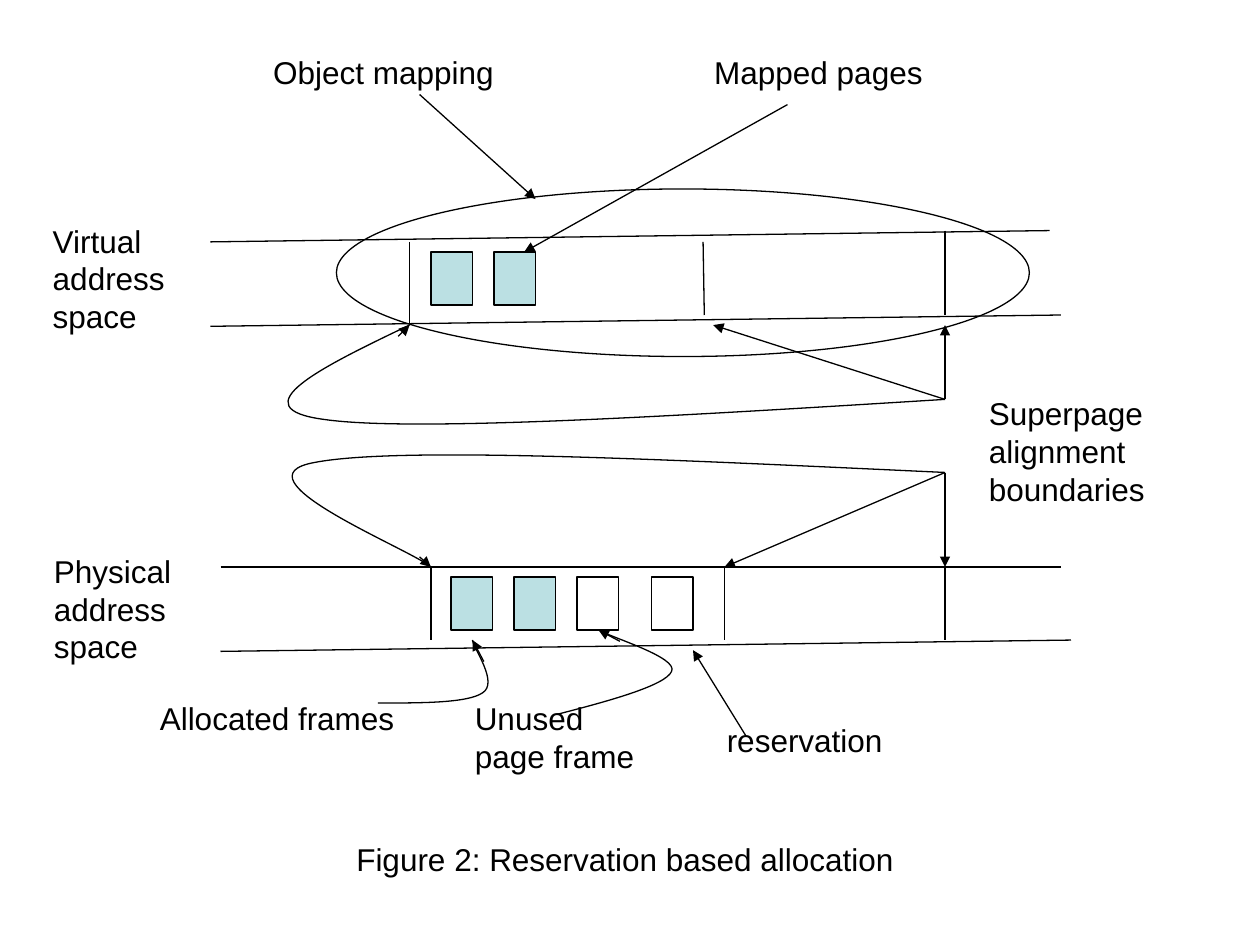
from dataclasses import dataclass

from lxml import etree
from pptx import Presentation
from pptx.dml.color import RGBColor
from pptx.enum.shapes import MSO_CONNECTOR, MSO_SHAPE
from pptx.enum.text import MSO_AUTO_SIZE
from pptx.oxml.ns import qn
from pptx.util import Inches, Pt

LINE = MSO_CONNECTOR.STRAIGHT
RECT = MSO_SHAPE.RECTANGLE
OVAL = MSO_SHAPE.OVAL
FIT = MSO_AUTO_SIZE.SHAPE_TO_FIT_TEXT


@dataclass(frozen=True)
class Theme:
    ink: RGBColor = RGBColor(0, 0, 0)
    used: RGBColor = RGBColor(0xBB, 0xE0, 0xE3)
    font: str = "Arial"
    size: int = Pt(18)
    rule: int = Pt(0.75)


THEME = Theme()
PAGE = (0.33, 0.42)


def style(shape, fill=None):
    """Thin black outline, no shadow, optional fill."""
    shape.shadow.inherit = False
    shape.line.color.rgb = THEME.ink
    shape.line.width = THEME.rule
    if fill is None:
        shape.fill.background()
    else:
        shape.fill.solid()
        shape.fill.fore_color.rgb = fill


def add_line(slide, start, end, arrow=False):
    line = slide.shapes.add_connector(LINE, *map(Inches, (*start, *end)))
    line.line.color.rgb = THEME.ink
    line.line.width = THEME.rule
    if arrow:
        props = line._element.spPr.find(qn("a:ln"))
        etree.SubElement(props, qn("a:tailEnd"), type="triangle")
    etree.SubElement(line._element.spPr, qn("a:effectLst"))


def add_form(slide, kind, box, fill=None):
    style(slide.shapes.add_shape(kind, *map(Inches, box)), fill)


def add_curve(slide, points):
    """Bezier through a start point and groups of three points."""
    pts = [(Inches(x), Inches(y)) for x, y in points]
    form = slide.shapes.build_freeform(*pts[0])
    form.add_line_segments(pts[1:], close=False)
    shape = form.convert_to_shape()
    style(shape)
    track = shape._element.find(".//" + qn("a:path"))
    steps = track.findall(qn("a:lnTo"))
    for i in range(0, len(steps), 3):
        bend = etree.SubElement(track, qn("a:cubicBezTo"))
        for step in steps[i:i + 3]:
            bend.append(step[0])
            track.remove(step)


def add_label(slide, text, box):
    frame = slide.shapes.add_textbox(*map(Inches, box)).text_frame
    frame.text = text
    for name, value in {"word_wrap": True, "auto_size": FIT}.items():
        setattr(frame, name, value)
    formats = {"name": THEME.font, "size": THEME.size}
    for para in frame.paragraphs:
        for run in para.runs:
            for name, value in formats.items():
                setattr(run.font, name, value)
            run.font.color.rgb = THEME.ink


def add_space(slide, x, y, rails, bounds, pages):
    """One address space: two rails, boundary marks and page boxes."""
    for x1, y1, x2, y2 in rails + bounds:
        add_line(slide, (x + x1, y + y1), (x + x2, y + y2))
    for left, top, fill in pages:
        add_form(slide, RECT, (x + left, y + top, *PAGE), fill)


def add_fan(slide, x, y, tips, curve, hook):
    """Arrows from one point to the superpage boundaries."""
    for dx, dy in tips:
        add_line(slide, (x, y), (x + dx, y + dy), True)
    add_curve(slide, [(x, y)] + [(x + dx, y + dy) for dx, dy in curve])
    dx, dy = curve[-1]
    tip = (x + dx, y + dy)
    add_line(slide, (tip[0] - 0.09, tip[1] + hook), tip, True)


def add_notes(slide, x, y):
    """Captions and pointers below the physical space."""
    for text, left, top, wide, high in (
        ("Allocated frames", 0, 0, 2.16, 0.4),
        ("Unused\npage frame", 2.5, 0, 1.56, 0.7),
        ("reservation", 4.5, 0.17, 1.53, 0.4),
    ):
        add_label(slide, text, (x + left, y + top, wide, high))
    curves = (
        ((1.83, 0.08), (2.18, 0.08), (2.54, 0.08), (2.66, 0),
         (2.79, -0.08), (2.59, -0.35), (2.58, -0.42)),
        ((3.25, 0.17), (3.68, 0.06), (4.11, -0.06), (4.16, -0.17),
         (4.22, -0.28), (3.68, -0.44), (3.58, -0.5)),
    )
    for curve, (dx, dy) in zip(curves, ((0.09, 0.17), (0.17, 0.09))):
        pts = [(x + px, y + py) for px, py in curve]
        add_curve(slide, pts)
        tip = pts[-1]
        add_line(slide, (tip[0] + dx, tip[1] + dy), tip, True)
    add_line(slide, (x + 4.75, y + 0.34), (x + 4.33, y - 0.34), True)


def add_map(slide, x, y):
    """Object mapping ellipse with the two captions above it."""
    add_form(slide, OVAL, (x, y, 5.5, 1.33))
    for text, left, wide, start, end in (
        ("Object mapping", -0.6, 2.05, (0.66, -0.75), (1.58, 0.08)),
        ("Mapped pages", 2.9, 1.95, (3.58, -0.67), (1.49, 0.5)),
    ):
        add_label(slide, text, (x + left, y - 1.13, wide, 0.4))
        ends = [(x + dx, y + dy) for dx, dy in (start, end)]
        add_line(slide, *ends, True)


def main():
    deck = Presentation()
    deck.slide_width, deck.slide_height = Inches(10), Inches(7.5)
    slide = deck.slides.add_slide(deck.slide_layouts[6])

    # Virtual space
    add_space(
        slide, 1.67, 1.83,
        ((0, 0.09, 6.66, 0), (0, 0.76, 6.75, 0.67)),
        ((1.58, 0.09, 1.58, 0.75), (3.91, 0.09, 3.92, 0.67),
         (5.83, 0, 5.83, 0.67)),
        [(1.75 + 0.5 * i, 0.17, THEME.used) for i in range(2)],
    )
    # Physical space
    add_space(
        slide, 1.75, 4.5,
        ((0, 0, 6.67, 0), (0, 0.67, 6.75, 0.58)),
        tuple((b, 0, b, 0.58) for b in (1.67, 4, 5.75)),
        ((1.83, 0.08, THEME.used), (2.33, 0.08, THEME.used),
         (2.83, 0.08, None), (3.42, 0.08, None)),
    )
    # Side labels and figure title
    for text, box in (
        ("Virtual address space", (0.32, 1.71, 1.18, 1)),
        ("Physical address space", (0.33, 4.33, 1.18, 1)),
        ("Superpage alignment boundaries", (7.75, 3.08, 1.75, 1)),
        ("Figure 2: Reservation based allocation", (2.73, 6.62, 4.56, 0.4)),
    ):
        add_label(slide, text, box)
    add_notes(slide, 1.17, 5.5)

    # Superpage boundaries
    add_fan(slide, 7.5, 3.17, ((0, -0.59), (-1.84, -0.59)),
            ((-2.1, 0.13), (-4.21, 0.26), (-4.92, 0.16),
             (-5.62, 0.07), (-4.94, -0.26), (-4.25, -0.59)), 0.09)
    add_fan(slide, 7.5, 3.75, ((0, 0.75), (-1.75, 0.75)),
            ((-2.16, -0.1), (-4.32, -0.21), (-5, -0.08),
             (-5.68, 0.04), (-4.24, 0.61), (-4.08, 0.75)), -0.08)
    add_map(slide, 2.67, 1.5)
    deck.save("out.pptx")


if __name__ == "__main__":
    main()
